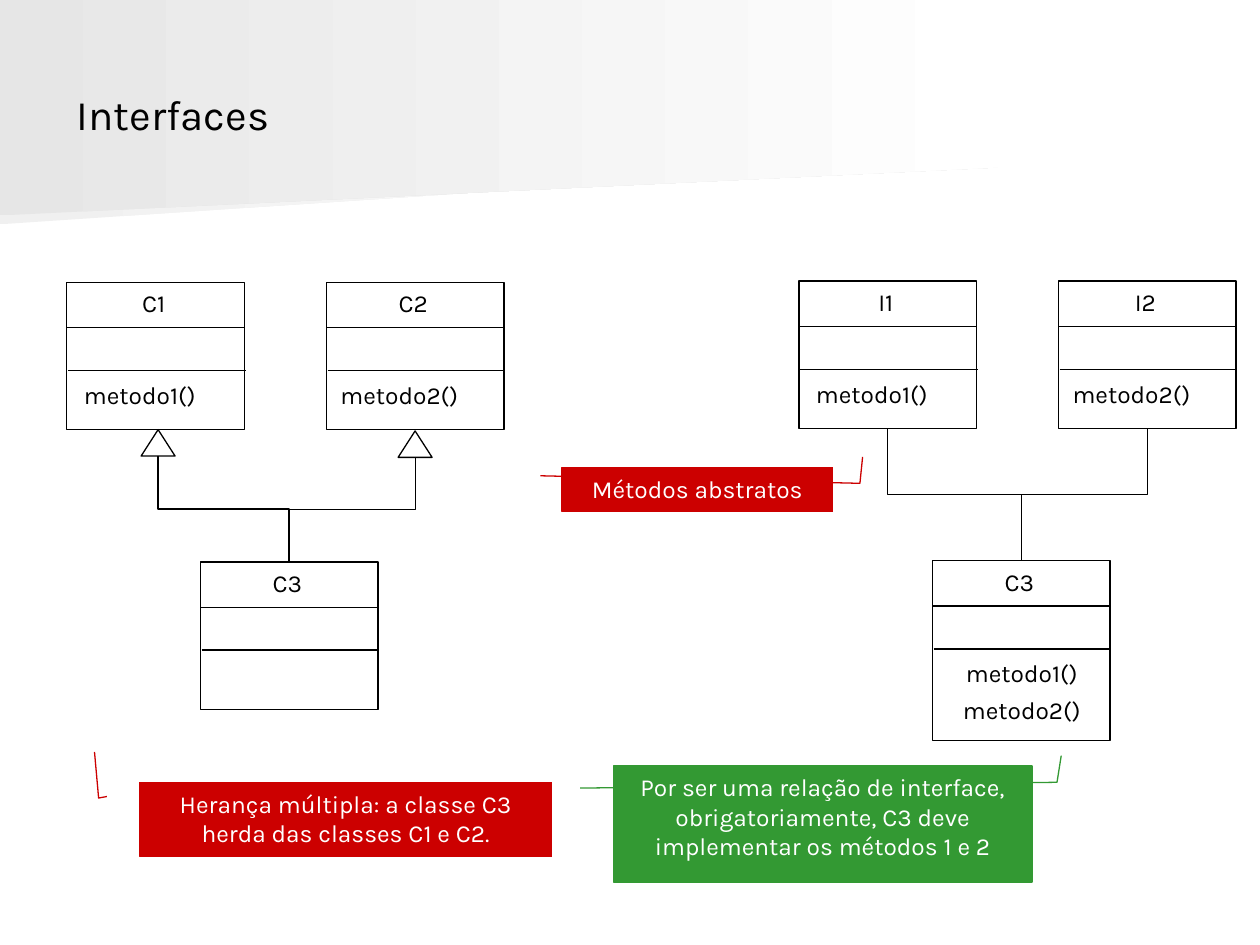
from dataclasses import dataclass

from lxml import etree
from pptx import Presentation
from pptx.dml.color import RGBColor
from pptx.enum import shapes, text
from pptx.oxml import ns
from pptx.util import Pt

PX = 9144


@dataclass(frozen=True)
class Theme:
    """Colours, type sizes and line weight of the slide."""
    font: str = "Karla"
    title_size: int = 24
    text_size: int = 14
    line_width: float = 0.75
    ink: str = "000000"
    paper: str = "FFFFFF"
    lower_wedge: str = "F0F0F0"
    upper_wedge: str = "E6E6E6"
    red: str = "CC0000"
    green: str = "339933"


THEME = Theme()


def px(*lengths):
    """Turn px lengths into EMU."""
    return [round(length * PX) for length in lengths]


def write(frame, words, size=THEME.text_size, color=THEME.ink, align=text.PP_ALIGN.CENTER,
          anchor=text.MSO_ANCHOR.TOP, wrap=True, fit=text.MSO_AUTO_SIZE.NONE):
    """Fill a text frame with one formatted paragraph."""
    frame.text = words
    frame.word_wrap = wrap
    frame.auto_size = fit
    frame.vertical_anchor = anchor
    paragraph = frame.paragraphs[0]
    paragraph.alignment = align
    paragraph.font.name = THEME.font
    paragraph.font.size = Pt(size)
    paragraph.font.color.rgb = RGBColor.from_string(color)


def outline(item, color=THEME.ink):
    """Draw the line of a shape or connector."""
    item.line.color.rgb = RGBColor.from_string(color)
    item.line.width = Pt(THEME.line_width)


def label(slide, words, center, top, width):
    """Place an unwrapped label around a centre."""
    box = slide.shapes.add_textbox(*px(center - width / 2, top, width, 34))
    write(box.text_frame, words, wrap=False, fit=text.MSO_AUTO_SIZE.SHAPE_TO_FIT_TEXT)


def hollow(slide, kind, box):
    """Draw an unfilled preset shape."""
    shape = slide.shapes.add_shape(kind, *px(*box))
    shape.shadow.inherit = False
    shape.fill.background()
    outline(shape)
    return shape


def connect(slide, kind, start, end):
    """Draw a connector without a shadow."""
    connector = slide.shapes.add_connector(kind, *px(*start, *end))
    outline(connector)
    etree.SubElement(connector._element.spPr, ns.qn("a:effectLst"))
    return connector


def wedge(slide, points, color):
    """Draw a polygon that fades to the paper colour."""
    builder = slide.shapes.build_freeform(*points[0], scale=PX)
    builder.add_line_segments(points[1:], close=True)
    shape = builder.convert_to_shape()
    shape.shadow.inherit = False
    shape.line.fill.background()
    shape.fill.gradient()
    shape.fill.gradient_angle = 0
    for stop, position, shade in zip(shape.fill.gradient_stops, (0, 1), (color, THEME.paper)):
        stop.position = position
        stop.color.rgb = RGBColor.from_string(shade)


def header(slide, box, words):
    """Place the fading wedges and the title over them."""
    left, top, width, height = box
    wedge(slide, [(left + 778, top + 126), (left, top + 178), (left, top + 83),
                  (left + 779, top + 83), (left + 778, top + 105)], THEME.lower_wedge)
    wedge(slide, [(left + width, top + 133), (left, top + height),
                  (left, top), (left + width, top)], THEME.upper_wedge)
    title = slide.shapes.title
    title.left, title.top, title.width, title.height = px(left + 51, top + 28, 900, 125)
    write(title.text_frame, words, size=THEME.title_size, align=text.PP_ALIGN.LEFT,
          anchor=text.MSO_ANCHOR.MIDDLE)
    slide.shapes._spTree.append(title._element)


def class_box(slide, box, name, methods=(), center=58, first=73):
    """Draw a three-part class box with its name and methods."""
    left, top, width, _ = box
    frame = hollow(slide, shapes.MSO_SHAPE.RECTANGLE, box)
    for shift, drop in ((0, 36), (1, 70)):
        connect(slide, shapes.MSO_CONNECTOR.STRAIGHT, (left + shift, top + drop),
                (left + shift + width, top + drop))
    label(slide, name, left + 69, top, 48)
    for row, method in enumerate(methods):
        label(slide, method, left + center, top + first + 30 * row, 118)
    return frame


def elbow(slide, parent, parent_site, child):
    """Join the bottom of a parent to the top of a child, vertical first."""
    start_x, start_y = parent.left + parent.width // 2, parent.top + parent.height
    end_x, end_y = child.left + child.width // 2, child.top
    link = connect(slide, shapes.MSO_CONNECTOR.ELBOW, (0, 0), (1, 1))
    link.begin_connect(parent, parent_site)
    link.end_connect(child, 0)
    drop, reach = end_y - start_y, abs(end_x - start_x)
    link.left, link.top = (start_x + end_x - drop) // 2, (start_y + end_y - reach) // 2
    link.width, link.height = drop, reach
    rightward = end_x > start_x
    frame = link._element.spPr.find(ns.qn("a:xfrm"))
    frame.set("rot", "16200000" if rightward else "5400000")
    frame.set("flipH", "1" if rightward else "0")
    frame.set("flipV", "0")


def callout(slide, box, words, color, leader):
    """Draw a filled callout with a bent leader line."""
    note = slide.shapes.add_shape(shapes.MSO_SHAPE.LINE_CALLOUT_2, *px(*box))
    note.shadow.inherit = False
    note.fill.solid()
    note.fill.fore_color.rgb = RGBColor.from_string(color)
    outline(note, color)
    for index, value in enumerate((0.19, -0.08, *leader)):
        note.adjustments[index] = value
    write(note.text_frame, words, color=THEME.paper)


def inheritance(slide, box):
    """Draw C3 inheriting from two classes."""
    left, top = box
    child = class_box(slide, (left + 106, top + 222, 141, 117), "C3")
    for number, shift, tip in ((1, 0, (59, 117)), (2, 206, (263, 118))):
        class_box(slide, (left + shift, top, 141, 117), f"C{number}", [f"metodo{number}()"])
        arrow = hollow(slide, shapes.MSO_SHAPE.ISOSCELES_TRIANGLE,
                       (left + tip[0], top + tip[1], 27, 21))
        elbow(slide, arrow, 3, child)


def implementation(slide, box):
    """Draw C3 implementing two interfaces."""
    left, top = box
    child = class_box(slide, (left + 106, top + 222, 141, 143), "C3",
                      ["metodo1()", "metodo2()"], center=71, first=72)
    for number, shift in ((1, 0), (2, 206)):
        parent = class_box(slide, (left + shift, top, 141, 117), f"I{number}",
                           [f"metodo{number}()"])
        elbow(slide, parent, 2, child)


def main():
    """Build and save the slide."""
    deck = Presentation()
    deck.slide_width, deck.slide_height = px(1000, 750)
    slide = deck.slides.add_slide(deck.slide_layouts[5])
    header(slide, (0, 0, 792, 171), "Interfaces")
    inheritance(slide, (53, 224))
    implementation(slide, (634, 223))
    callout(slide, (111, 621, 327, 59), "Herança múltipla: a classe C3 herda das classes C1 e C2.",
            THEME.red, (0.21, -0.1, -0.41, -0.11))
    callout(slide, (446, 371, 215, 35), "Métodos abstratos",
            THEME.red, (0.36, 1.1, -0.24, 1.11))
    callout(slide, (487, 608, 332, 92),
            "Por ser uma relação de interface, obrigatoriamente, C3 deve "
            "implementar os métodos 1 e 2",
            THEME.green, (0.14, 1.06, -0.09, 1.07))
    deck.save("out.pptx")


if __name__ == "__main__":
    main()
